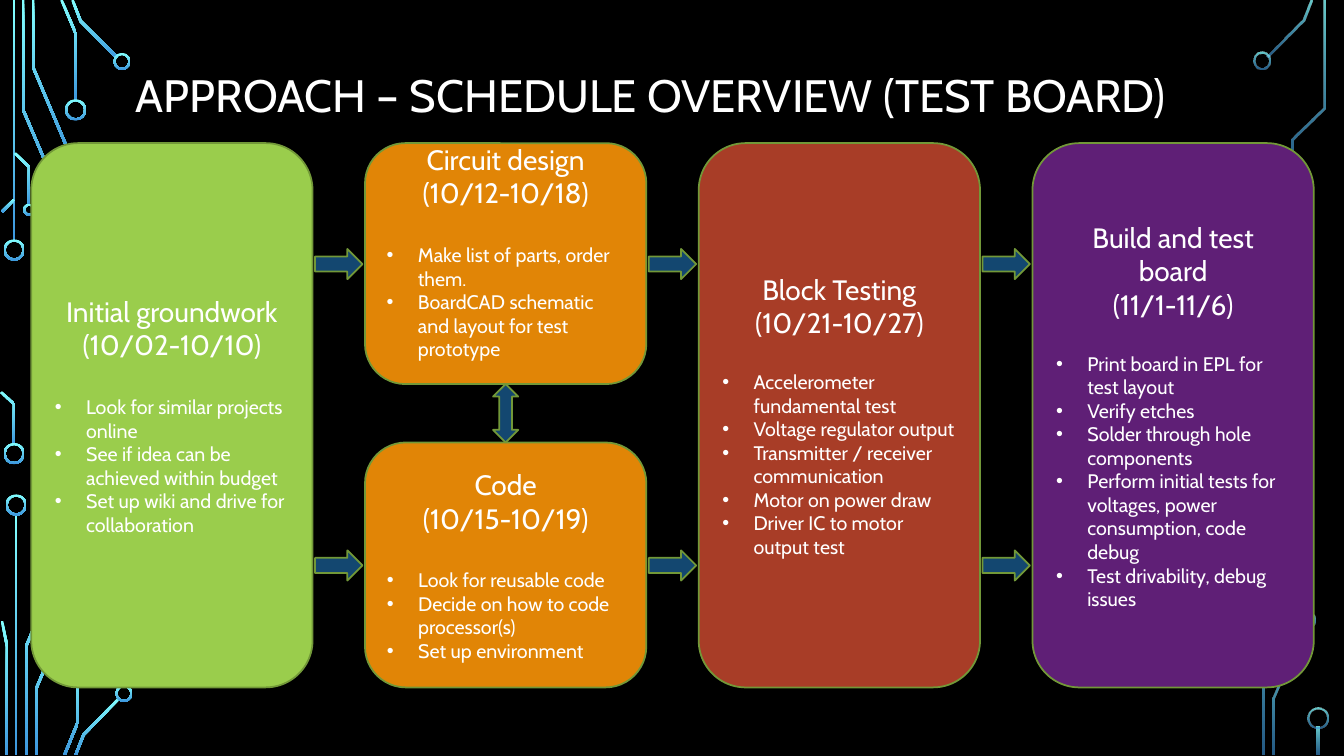
from pptx import Presentation
from pptx.dml.color import RGBColor
from pptx.enum.shapes import MSO_SHAPE as Shape
from pptx.enum.text import MSO_ANCHOR as Anchor, PP_ALIGN as Align
from pptx.oxml.ns import qn
from pptx.oxml.xmlchemy import OxmlElement
from pptx.util import Inches, Pt

FONT = "Cabin"
TRACE_WIDTH = 0.025
COLUMN_LEFT, COLUMN_PITCH, COLUMN_WIDTH = 0.31, 3.31, 2.79
TOP, BOTTOM = 1.42, 6.82
UPPER_BOTTOM, LOWER_TOP = 3.81, 4.39
ARROW_ROWS = (2.47, 5.46)
ARROW_WIDTH, ARROW_HEIGHT = 0.47, 0.3


def color(value):
    return RGBColor.from_string(value)


presentation = Presentation()
presentation.slide_width, presentation.slide_height = Inches(13.33), Inches(7.5)
slide = presentation.slides.add_slide(presentation.slide_layouts[6])
slide.background.fill.solid()
slide.background.fill.fore_color.rgb = color("000000")
shapes = slide.shapes

left_traces = [
    [(0.14, 0), (0.14, 2.4)],
    [(0.23, 0), (0.23, 1.09), (0.61, 1.98)],
    [(0.33, 0), (0.33, 0.67), (0.71, 1.57)],
    [(0.61, 0), (0.75, 0.33), (0.75, 1)],
    [(0.72, 0), (0.8, 0.21), (1.16, 0.57)],
    [(0.02, 2.1), (0.14, 1.98)],
    [(0.01, 3.89), (0.14, 4.01), (0.14, 4.41)],
    [(0.15, 1.52), (0.29, 1.66), (0.29, 2.03)],
    [(0.16, 5.1), (0.16, 7.49)],
    [(0.63, 5.52), (0.26, 6.41), (0.26, 7.49)],
    [(0.02, 6.16), (0.07, 6.41), (0.07, 7.49)],
    [(0.74, 5.93), (0.36, 6.83), (0.36, 7.49)],
    [(0.77, 6.5), (0.77, 7.17), (0.64, 7.49)],
    [(1.18, 6.93), (0.83, 7.29), (0.75, 7.49)],
]
right_traces = [
    [(12.57, 0.56), (12.93, 0.2), (13.01, 0)],
    [(12.63, 7.49), (12.63, 6.93), (12.93, 6.24)],
    [(12.82, 1.69), (12.82, 1.38), (13.13, 1.07), (13.13, 0)],
    [(12.53, 7.49), (12.53, 6.13), (12.83, 5.83), (12.83, 5.52)],
    [(13.07, 7.21), (13.07, 7.49)],
]
left_rings = [
    (0.14, 2.48, 0.21), (0.14, 4.5, 0.21), (0.75, 1.09, 0.21), (1.21, 0.61, 0.17),
    (0.29, 2.08, 0.12), (0.16, 5.01, 0.21), (1.23, 6.88, 0.17),
]
right_rings = [(12.52, 0.6, 0.17), (12.96, 6.15, 0.17), (13.07, 7.12, 0.21)]

for traces, rings, opacities in (
    (left_traces, left_rings, (100, 100)),
    (right_traces, right_rings, (80, 60)),
):
    circuit_shapes = []
    for trace in traces:
        points = [complex(x, y) for x, y in trace]
        normals = [(b - a) / abs(b - a) * 1j for a, b in zip(points, points[1:])]
        normals = [normals[0], *normals, normals[-1]]
        offsets = [
            TRACE_WIDTH * (m + n) / abs(m + n) ** 2 for m, n in zip(normals, normals[1:])
        ]
        one_side = [point + offset for point, offset in zip(points, offsets)]
        other_side = [point - offset for point, offset in zip(points, offsets)]
        outline = [(Inches(p.real), Inches(p.imag)) for p in one_side + other_side[::-1]]
        builder = shapes.build_freeform(*outline[0])
        builder.add_line_segments(outline[1:], close=True)
        circuit_shapes.append(builder.convert_to_shape())
    for x, y, diameter in rings:
        corner = Inches(x - diameter / 2), Inches(y - diameter / 2)
        ring = shapes.add_shape(Shape.DONUT, *corner, Inches(diameter), Inches(diameter))
        ring.adjustments[0] = 0.02 / diameter
        circuit_shapes.append(ring)
    for shape in circuit_shapes:
        shape.shadow.inherit = False
        shape.line.fill.background()
        shape.fill.gradient()
        shape.fill.gradient_angle = 270
        for stop, value in zip(shape.fill.gradient_stops, ("82FFFF", "3D97DE")):
            stop.color.rgb = color(value)
        for stop_color, opacity in zip(shape._element.spPr.iter(qn("a:srgbClr")), opacities):
            alpha = OxmlElement("a:alpha")
            alpha.set("val", str(opacity * 1000))
            stop_color.append(alpha)

title = shapes.add_textbox(Inches(1.25), Inches(0.68), Inches(10.83), Inches(0.58))
title.text_frame.word_wrap = True
title.text_frame.vertical_anchor = Anchor.MIDDLE
paragraph = title.text_frame.paragraphs[0]
paragraph.text = "APPROACH – SCHEDULE OVERVIEW (TEST BOARD)"
paragraph.line_spacing = 0.9
paragraph.font.name, paragraph.font.size = FONT, Pt(32.4)
paragraph.font.color.rgb = color("FFFFFF")

stages = [
    (0, TOP, BOTTOM, "9ACD4C", 24, 0.05, ["Initial groundwork", "(10/02-10/10)"],
     ["Look for similar projects online", "See if idea can be achieved within budget",
      "Set up wiki and drive for collaboration"]),
    (1, TOP, UPPER_BOTTOM, "E18506", 24, 0.29, ["Circuit design", "(10/12-10/18)"],
     ["Make list of parts, order them.",
      "BoardCAD schematic and layout for test prototype"]),
    (1, LOWER_TOP, BOTTOM, "E18506", 24, 0.05, ["Code", "(10/15-10/19)"],
     ["Look for reusable code", "Decide on how to code processor(s)",
      "Set up environment"]),
    (2, TOP, BOTTOM, "A83D27", 22, 0.05, ["Block Testing", "(10/21-10/27)"],
     ["Accelerometer fundamental test", "Voltage regulator output",
      "Transmitter / receiver communication", "Motor on power draw",
      "Driver IC to motor output test"]),
    (3, TOP, BOTTOM, "5F1F76", 22, 0.05, ["Build and test board", "(11/1-11/6)"],
     ["Print board in EPL for test layout", "Verify etches",
      "Solder through hole components",
      "Perform initial tests for voltages, power consumption, code debug",
      "Test drivability, debug issues"]),
]
filled_shapes = []
for column, top, bottom, fill, gap, bottom_margin, heading, tasks in stages:
    left = COLUMN_LEFT + column * COLUMN_PITCH
    box = shapes.add_shape(Shape.ROUNDED_RECTANGLE, Inches(left), Inches(top),
                           Inches(COLUMN_WIDTH), Inches(bottom - top))
    filled_shapes.append((box, fill))
    frame = box.text_frame
    frame.vertical_anchor = Anchor.MIDDLE
    frame.margin_bottom = Inches(bottom_margin)
    for index, text in enumerate(heading + tasks):
        paragraph = frame.paragraphs[0] if index == 0 else frame.add_paragraph()
        paragraph.text = text
        is_task = index >= len(heading)
        paragraph.alignment = Align.LEFT if is_task else Align.CENTER
        if is_task:
            properties = paragraph._p.get_or_add_pPr()
            properties.set("marL", str(Inches(0.31)))
            properties.set("indent", str(-Inches(0.31)))
            bullet_font = OxmlElement("a:buFont")
            bullet_font.set("typeface", "Arial")
            bullet = OxmlElement("a:buChar")
            bullet.set("char", "•")
            properties.extend([bullet_font, bullet])
        if index == len(heading):
            paragraph.space_before = Pt(gap)
        paragraph.font.name, paragraph.font.size = FONT, Pt(14 if is_task else 20)
        paragraph.font.color.rgb = color("FFFFFF")

for column in range(3):
    gap_left = COLUMN_LEFT + column * COLUMN_PITCH + COLUMN_WIDTH
    arrow_left = gap_left + (COLUMN_PITCH - COLUMN_WIDTH - ARROW_WIDTH) / 2
    for row in ARROW_ROWS:
        arrow = shapes.add_shape(Shape.RIGHT_ARROW, Inches(arrow_left), Inches(row),
                                 Inches(ARROW_WIDTH), Inches(ARROW_HEIGHT))
        filled_shapes.append((arrow, "134770"))
exchange_left = COLUMN_LEFT + COLUMN_PITCH + (COLUMN_WIDTH - 0.25) / 2
exchange_arrow = shapes.add_shape(Shape.UP_DOWN_ARROW, Inches(exchange_left), Inches(UPPER_BOTTOM),
                                  Inches(0.25), Inches(LOWER_TOP - UPPER_BOTTOM))
filled_shapes.append((exchange_arrow, "134770"))

for shape, fill in filled_shapes:
    shape.shadow.inherit = False
    shape.fill.solid()
    shape.fill.fore_color.rgb = color(fill)
    shape.line.color.rgb = color("729838")
    shape.line.width = Pt(1.25)

presentation.save("out.pptx")
